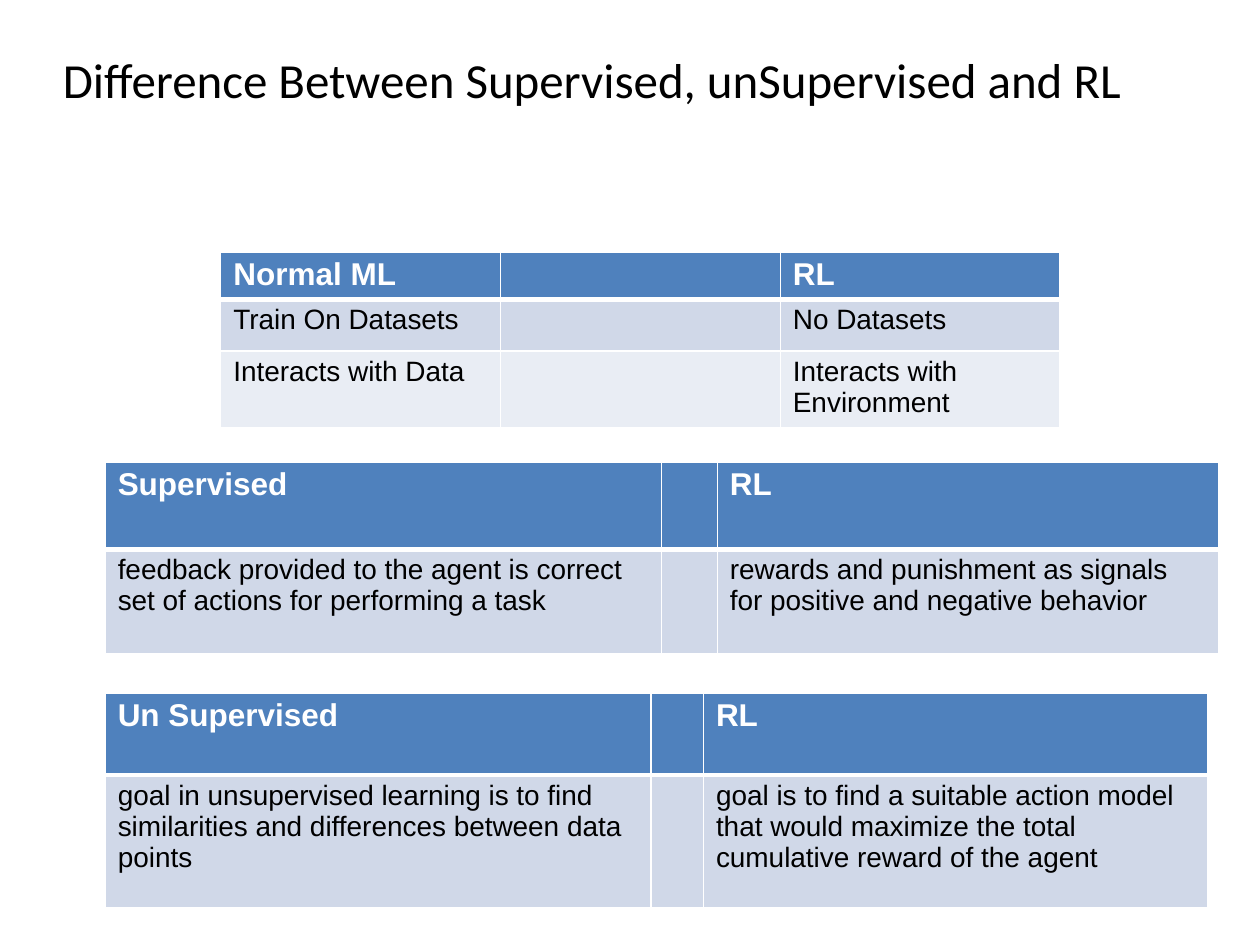
from dataclasses import dataclass

from lxml import etree
from pptx import Presentation
from pptx import util as u
from pptx.dml.color import RGBColor
from pptx.enum import text
from pptx.oxml import ns

TITLE = "Difference Between Supervised, unSupervised and RL"

TABLES = [
    dict(left=2.12, top=9.32, columns=(11.22, 1.12, 10.1), heights=(1.76, 2.1), rows=[
        ("Supervised", "", "RL"),
        ("feedback provided to the agent is correct set of actions for performing a task", "",
         "rewards and punishment as signals for positive and negative behavior"),
    ]),
    dict(left=2.12, top=13.97, columns=(11, 1.06, 10.16), heights=(1.65, 2.67), rows=[
        ("Un Supervised", "", "RL"),
        ("goal in unsupervised learning is to find similarities and differences "
         "between data points", "",
         "goal is to find a suitable action model that would maximize the total "
         "cumulative reward of the agent"),
    ]),
    dict(left=4.45, top=5.08, columns=(5.64,) * 3, heights=(0.94, 1.03, 1.5), rows=[
        ("Normal ML", "", "RL"),
        ("Train On Datasets", "", "No Datasets"),
        ("Interacts with Data", "", "Interacts with Environment"),
    ]),
]


@dataclass(frozen=True)
class Theme:
    """Colours, fonts and type sizes of the slide."""
    ink: str = "000000"
    white: str = "FFFFFF"
    header: str = "4F81BD"
    bands: tuple = ("D0D8E8", "E9EDF4")
    title_font: str = "Calibri"
    table_font: str = "Arial"
    title_size: int = 28
    header_size: int = 18
    body_size: int = 16
    line: int = 1
    header_line: int = 3


THEME = Theme()


def write(para, words, font, size, colour, bold=False):
    """Add one formatted run to a paragraph."""
    span = para.add_run()
    span.text = words
    span.font.name, span.font.size, span.font.bold = font, u.Pt(size), bold
    span.font.color.rgb = RGBColor.from_string(colour)


def set_borders(cell, bottom):
    """Draw white cell borders, with a given weight below."""
    props = cell._tc.get_or_add_tcPr()
    weights = dict(lnL=THEME.line, lnR=THEME.line, lnT=THEME.line, lnB=bottom)
    for index, (tag, weight) in enumerate(weights.items()):
        line = etree.Element(ns.qn("a:" + tag), w=str(u.Pt(weight)))
        fill = etree.SubElement(line, ns.qn("a:solidFill"))
        etree.SubElement(fill, ns.qn("a:srgbClr"), val=THEME.white)
        props.insert(index, line)


def fill_cell(cell, words, row):
    """Style one cell according to its row and write its text."""
    head = row == 0
    fill = THEME.header if head else THEME.bands[(row - 1) % 2]
    size = THEME.header_size if head else THEME.body_size
    cell.margin_top = cell.margin_bottom = u.Cm(0.1)
    cell.fill.solid()
    cell.fill.fore_color.rgb = RGBColor.from_string(fill)
    # The line under the header is shared with the row below it.
    set_borders(cell, THEME.header_line if head else THEME.line)
    if row == 1:
        cell._tc.tcPr.find(ns.qn("a:lnT")).set("w", str(u.Pt(THEME.header_line)))
    para = cell.text_frame.paragraphs[0]
    if words:
        write(para, words, THEME.table_font, size, THEME.white if head else THEME.ink, head)
    else:
        end = etree.SubElement(para._p, ns.qn("a:endParaRPr"), sz=str(size * 100))
        etree.SubElement(end, ns.qn("a:latin"), typeface=THEME.table_font)


def add_comparison(page, left, top, columns, heights, rows):
    """Add one comparison table."""
    table = page.shapes.add_table(
        len(rows), len(columns), u.Cm(left), u.Cm(top),
        u.Cm(sum(columns)), u.Cm(sum(heights))).table
    for column, width in zip(table.columns, columns):
        column.width = u.Cm(width)
    for row, (height, entries) in enumerate(zip(heights, rows)):
        table.rows[row].height = u.Cm(height)
        for column, words in enumerate(entries):
            fill_cell(table.cell(row, column), words, row)


def add_title(page):
    """Add the slide title."""
    box = page.shapes.add_textbox(u.Cm(1.27), u.Cm(0.43), u.Cm(22.86), u.Cm(2.34))
    frame = box.text_frame
    frame.word_wrap = True
    frame.vertical_anchor = text.MSO_ANCHOR.MIDDLE
    frame.margin_left = frame.margin_right = frame.margin_top = frame.margin_bottom = 0
    write(frame.paragraphs[0], TITLE, THEME.title_font, THEME.title_size, THEME.ink)


deck = Presentation()
deck.slide_width, deck.slide_height = u.Cm(25.4), u.Cm(19.05)
page = deck.slides.add_slide(deck.slide_layouts[6])
add_title(page)
for comparison in TABLES:
    add_comparison(page, **comparison)
deck.save("out.pptx")
